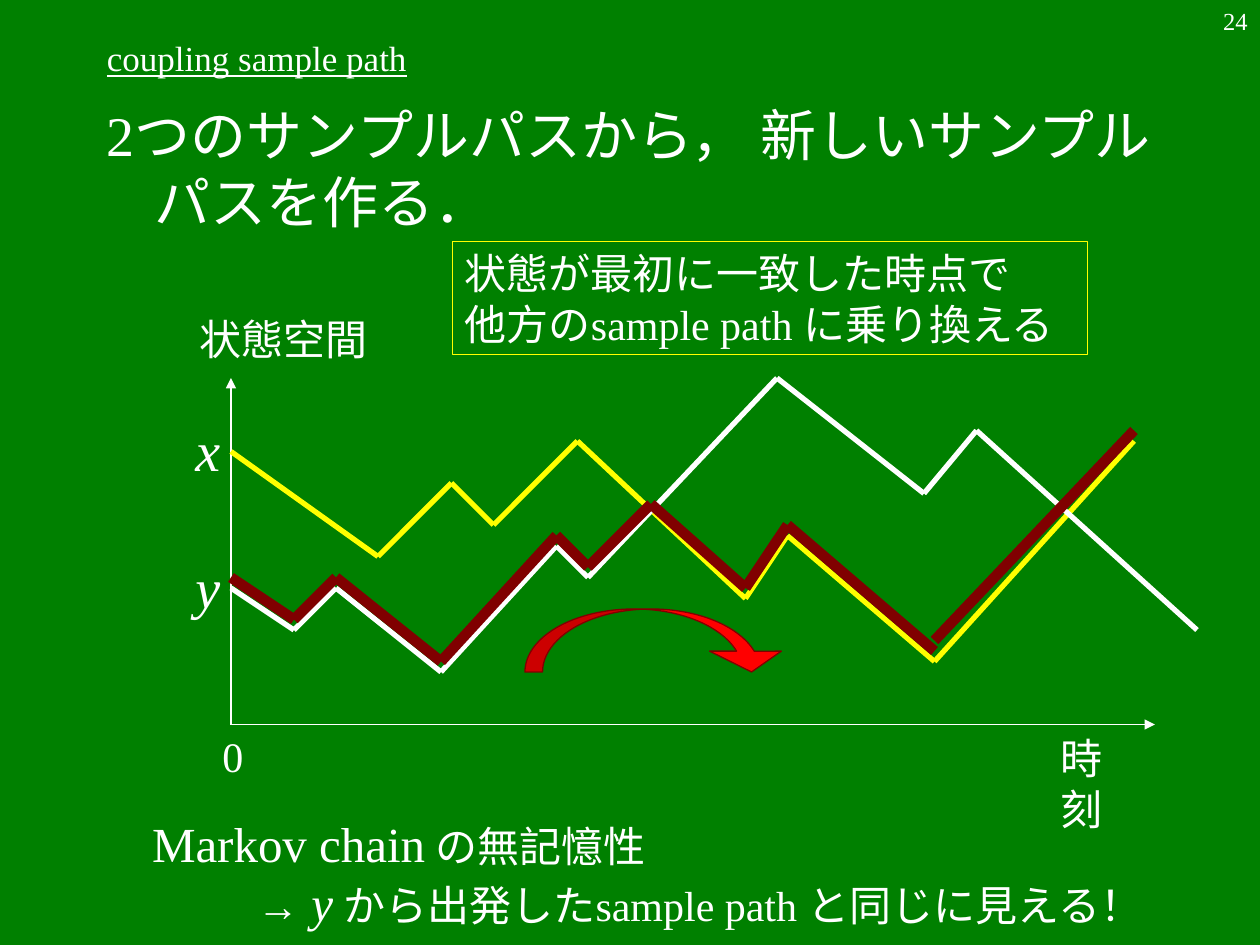
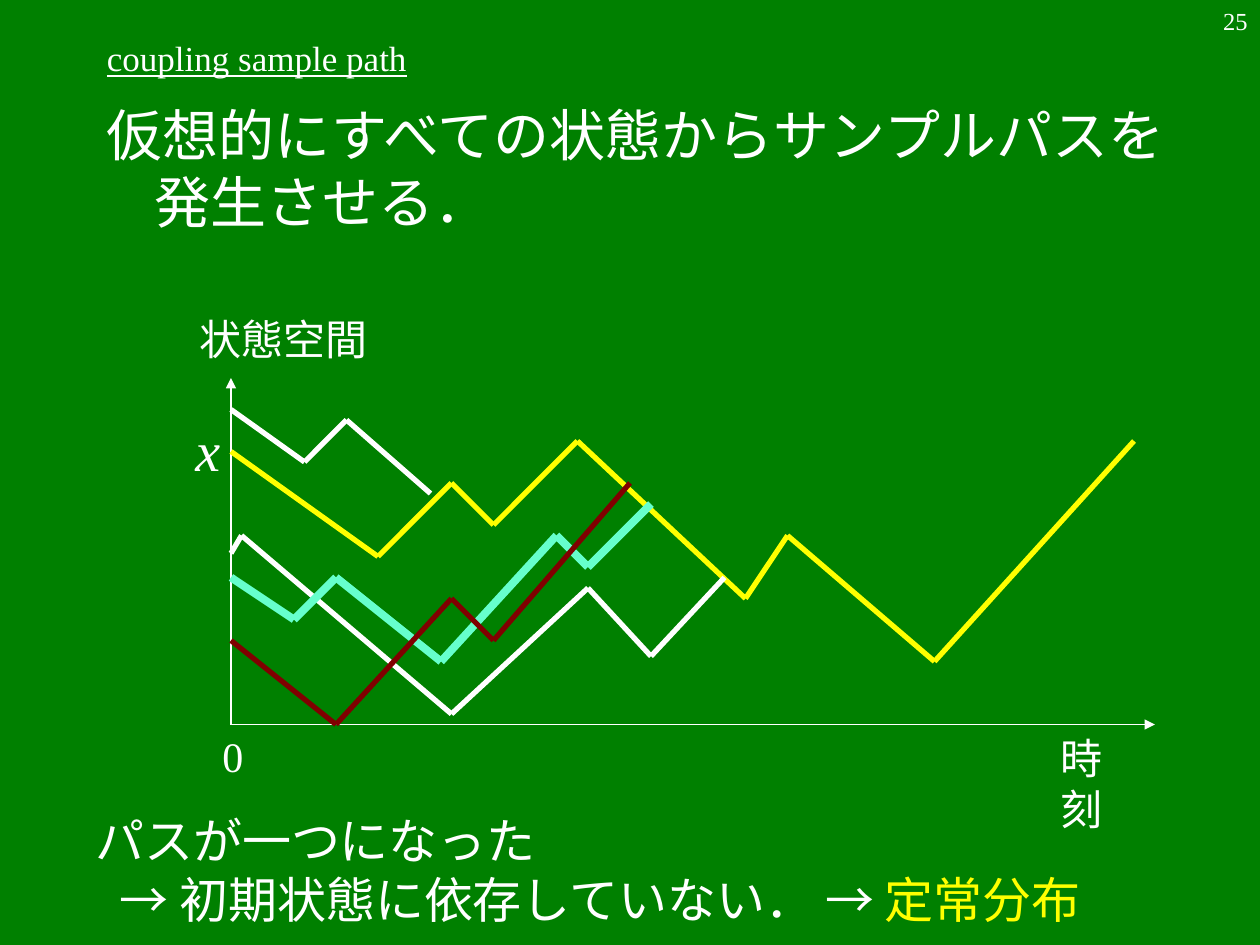
import dataclasses
import itertools

import pptx
import pptx.dml.color
import pptx.enum.shapes
import pptx.enum.text
import pptx.oxml.ns
import pptx.util
from lxml import etree

COLUMNS, ROWS = 120, 90
CELL = pptx.util.Inches(10) // COLUMNS

GREEN, WHITE, YELLOW = "008000", "FFFFFF", "FFFF00"
MAROON, RED, AQUA = "800000", "FF0000", "66FFCC"
FONT = "Times New Roman"
ORIGIN = (22, 69)

LEFT = pptx.enum.text.PP_ALIGN.LEFT
RIGHT = pptx.enum.text.PP_ALIGN.RIGHT
TOP = pptx.enum.text.MSO_ANCHOR.TOP
MIDDLE = pptx.enum.text.MSO_ANCHOR.MIDDLE

Point = tuple[float, float]


@dataclasses.dataclass(frozen=True)
class Area:
    column: float
    row: float
    columns: float
    rows: float

    def lengths(self) -> list[int]:
        return [cells(value) for value in dataclasses.astuple(self)]


@dataclasses.dataclass(frozen=True)
class Span:
    text: str
    size: float = 24
    color: str = WHITE
    italic: bool = False
    underline: bool = False


@dataclasses.dataclass(frozen=True)
class Para:
    spans: tuple[Span, ...]
    margin: float = 0
    indent: float = 0
    align: int = LEFT


@dataclasses.dataclass(frozen=True)
class Label:
    area: Area
    paras: tuple[Para, ...]
    wrap: bool = False
    anchor: int = TOP


@dataclasses.dataclass(frozen=True)
class SamplePath:
    points: tuple[Point, ...]
    color: str
    width: float = 3


@dataclasses.dataclass(frozen=True)
class Content:
    number: int
    statement: str
    paths: tuple[SamplePath, ...]
    states: tuple[Label, ...]
    caption: Label


def cells(count: float) -> int:
    return round(count * CELL)


def rgb(color: str) -> pptx.dml.color.RGBColor:
    return pptx.dml.color.RGBColor.from_string(color)


def line_of(text: str, size: float = 24, **style) -> Para:
    return Para((Span(text, size, **style),))


def state_label(name: str, row: float) -> Label:
    return Label(Area(16.1, row, 6.1, 7.7), (line_of(" " + name, 32, italic=True),))


def write(box, label: Label) -> None:
    frame = box.text_frame
    frame.word_wrap = label.wrap
    frame.vertical_anchor = label.anchor
    if not label.wrap:
        frame.auto_size = pptx.enum.text.MSO_AUTO_SIZE.SHAPE_TO_FIT_TEXT
    for index, para in enumerate(label.paras):
        paragraph = frame.add_paragraph() if index else frame.paragraphs[0]
        paragraph.alignment = para.align
        properties = paragraph._p.get_or_add_pPr()
        properties.set("marL", str(cells(para.margin)))
        properties.set("indent", str(cells(para.indent)))
        for span in para.spans:
            run = paragraph.add_run()
            run.text = span.text
            run.font.name = FONT
            run.font.size = pptx.util.Pt(span.size)
            run.font.italic = span.italic
            run.font.underline = span.underline
            run.font.color.rgb = rgb(span.color)


def add_label(page, label: Label) -> None:
    write(page.shapes.add_textbox(*label.area.lengths()), label)


def add_line(page, start: Point, end: Point, color: str, width: float, arrow: bool = False) -> None:
    line = page.shapes.add_connector(
        pptx.enum.shapes.MSO_CONNECTOR.STRAIGHT, *map(cells, start + end))
    line.line.color.rgb = rgb(color)
    line.line.width = pptx.util.Pt(width)
    if arrow:
        etree.SubElement(line.line._get_or_add_ln(), pptx.oxml.ns.qn("a:tailEnd"), type="triangle")
    etree.SubElement(line._element.spPr, pptx.oxml.ns.qn("a:effectLst"))


def add_path(page, path: SamplePath) -> None:
    for start, end in itertools.pairwise(path.points):
        add_line(page, start, end, path.color, path.width)


def add_outlined(page, kind: int, area: Area, color: str):
    shape = page.shapes.add_shape(kind, *area.lengths())
    shape.shadow.inherit = False
    shape.line.color.rgb = rgb(color)
    shape.line.width = pptx.util.Pt(0.75)
    return shape


def add_page(deck, content: Content):
    """Draw the heading, the axes, the sample paths and the caption."""
    page = deck.slides.add_slide(deck.slide_layouts[6])
    heading = line_of("coupling sample path", 20, underline=True)
    statement = Para((Span(content.statement, 32),), margin=4.5, indent=-4.5)
    number = Para((Span(str(content.number), 14),), align=RIGHT)
    add_label(page, Label(Area(9, 4, 77, 3), (heading,), True, MIDDLE))
    add_label(page, Label(Area(9, 9, 107, 74), (statement,), True))
    for tip in ((22, 36), (110, 69)):
        add_line(page, ORIGIN, tip, WHITE, 0.75, arrow=True)
    for path in content.paths:
        add_path(page, path)
    for label in (*content.states, *AXIS_LABELS, content.caption):
        add_label(page, label)
    add_label(page, Label(Area(95, 0, 25, 6), (number,), True))
    return page


def add_switch(page) -> None:
    """Mark the change of path with a curved arrow and a framed remark."""
    shapes = pptx.enum.shapes.MSO_SHAPE
    arrow = add_outlined(page, shapes.CURVED_DOWN_ARROW, Area(50, 58, 25, 6), MAROON)
    arrow.fill.solid()
    arrow.fill.fore_color.rgb = rgb(RED)
    for index, share in enumerate((0.28, 1.14, 0.33)):
        arrow.adjustments[index] = share
    remark = Label(Area(43.1, 23, 60.5, 10.8), (
        line_of("状態が最初に一致した時点で"),
        line_of("他方のsample path に乗り換える"),
    ))
    frame = add_outlined(page, shapes.RECTANGLE, remark.area, YELLOW)
    frame.fill.background()
    write(frame, remark)


AXIS_LABELS = (
    Label(Area(17.8, 29.3, 18.4, 6), (line_of("状態空間"),)),
    Label(Area(99.8, 69.2, 10.3, 6), (line_of("時刻"),)),
    Label(Area(20, 69, 4.3, 6), (line_of("0"),)),
)

FROM_X = ((22, 43), (36, 53), (43, 46), (47, 50), (55, 42),
          (71, 57), (75, 51), (89, 63), (108, 42))
FROM_Y = ((22, 56), (28, 60), (32, 56), (42, 64), (53, 52),
          (56, 55), (74, 36), (88, 47), (93, 41), (114, 60))
MEETING = (62, 48)
# The coupled path runs one row above y until the meeting, then one row above x.
UNTIL_MEETING = (*((column, row - 1) for column, row in FROM_Y[:6]), MEETING)
AFTER_MEETING = tuple((column, row - 1) for column, row in FROM_X[5:8])

X_PATH = SamplePath(FROM_X, YELLOW)
X_LABEL = state_label("x", 39)

COUPLING = Content(
    number=24,
    statement="2つのサンプルパスから， 新しいサンプルパスを作る．",
    paths=(
        X_PATH,
        SamplePath(FROM_Y, WHITE),
        SamplePath(UNTIL_MEETING + AFTER_MEETING, MAROON, 6),
        SamplePath(((89, 61), (108, 41)), MAROON, 6),
    ),
    states=(X_LABEL, state_label("y", 52)),
    caption=Label(Area(13.3, 76.9, 99.7, 12.5), (
        Para((Span("Markov chain", 28), Span(" の無記憶性"))),
        Para((
            Span("→"),
            Span(" y", 28, italic=True),
            Span(" から出発したsample path と同じに見える！"),
        ), margin=10),
    ), wrap=True),
)

ALL_STATES = Content(
    number=25,
    statement="仮想的にすべての状態からサンプルパスを発生させる．",
    paths=(
        X_PATH,
        SamplePath(((22, 52.7), (23, 51), (43, 68), (56, 56), (62, 62.5), (69, 55)), WHITE),
        SamplePath(UNTIL_MEETING, AQUA, 4.5),
        SamplePath(((22, 61), (32, 69), (43, 57), (47, 61), (60, 46)), MAROON),
        SamplePath(((22, 39), (29, 44), (33, 40), (41, 47)), WHITE),
    ),
    states=(X_LABEL,),
    caption=Label(Area(7.9, 76.6, 102.6, 12.5), (
        line_of("パスが一つになった", 28),
        Para((
            Span("→ 初期状態に依存していない． → ", 28),
            Span("定常分布", 28, YELLOW),
        ), margin=2.3),
    ), wrap=True),
)


def main() -> None:
    deck = pptx.Presentation()
    deck.slide_width, deck.slide_height = cells(COLUMNS), cells(ROWS)
    background = deck.slide_master.background.fill
    background.solid()
    background.fore_color.rgb = rgb(GREEN)
    add_switch(add_page(deck, COUPLING))
    add_page(deck, ALL_STATES)
    deck.save("out.pptx")


if __name__ == "__main__":
    main()
